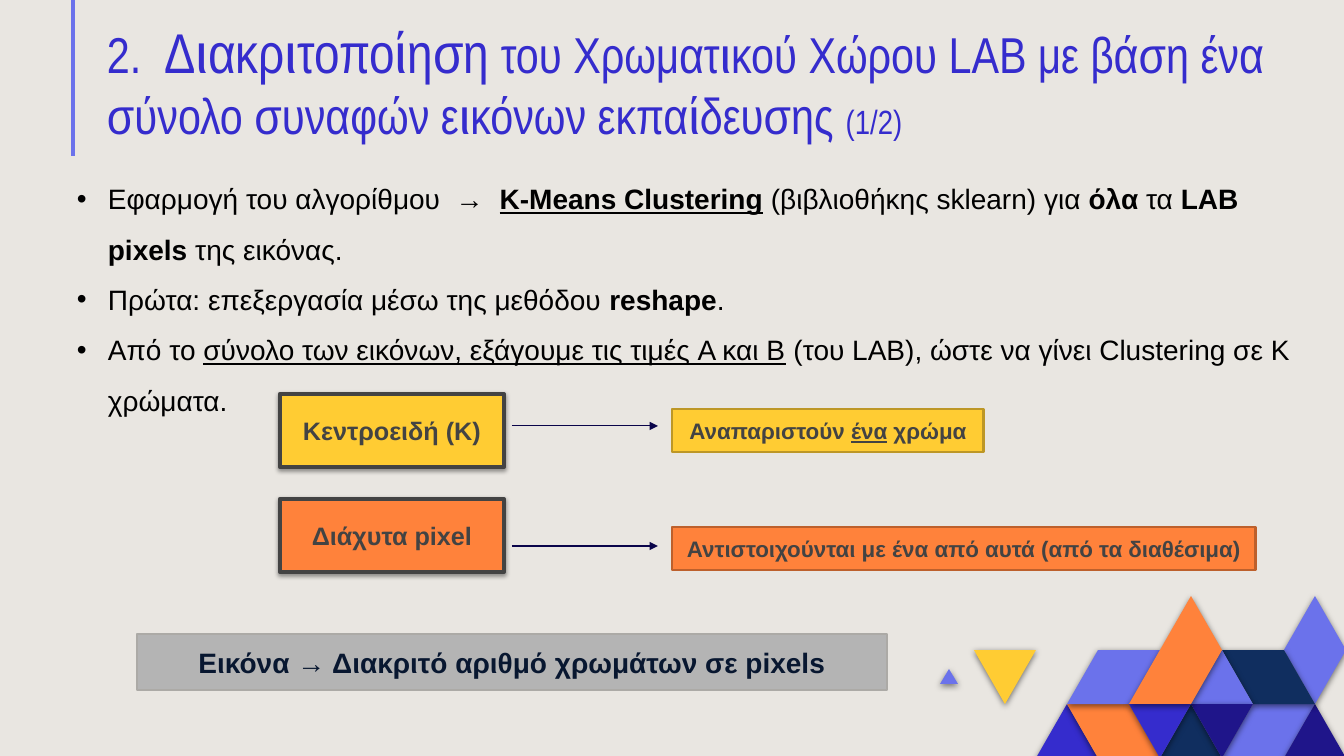
"""Build the slide on discretising the LAB colour space with K-Means."""
from lxml import etree
from pptx import Presentation
from pptx.dml.color import RGBColor
from pptx.enum.shapes import MSO_CONNECTOR as Connector, MSO_SHAPE as Shape
from pptx.enum.text import MSO_ANCHOR as Anchor, PP_ALIGN as Align
from pptx.oxml.ns import qn
from pptx.util import Pt

PX = 12192000 / 1344
BACKGROUND = RGBColor(0xE9, 0xE6, 0xE1)
BLACK = RGBColor(0x00, 0x00, 0x00)
GRAPHITE = RGBColor(0x43, 0x43, 0x43)
INK = RGBColor(0x08, 0x17, 0x30)
MIDNIGHT = RGBColor(0x0A, 0x04, 0x4A)
NAVY = RGBColor(0x10, 0x2E, 0x5F)
INDIGO = RGBColor(0x1F, 0x15, 0x8A)
BLUE = RGBColor(0x35, 0x2C, 0xCD)
PERIWINKLE = RGBColor(0x6B, 0x72, 0xEB)
ORANGE = RGBColor(0xFF, 0x82, 0x3B)
RUST = RGBColor(0xBD, 0x60, 0x2C)
YELLOW = RGBColor(0xFF, 0xCC, 0x33)
OCHRE = RGBColor(0xBD, 0x97, 0x26)
GREY = RGBColor(0xB4, 0xB4, 0xB4)
WARM_GREY = RGBColor(0xAC, 0xAA, 0xA6)

TILE_LEFT, TILE_TOP, TILE_HALF, TILE_ROW = 1036, 596, 31, 54
TILES = [
    (BLUE, [(0, 3), (1, 2), (2, 3)]),
    (ORANGE, [(1, 2), (3, 2), (4, 3), (2, 3)]),
    (PERIWINKLE, [(6, 3), (7, 2), (9, 2), (8, 3)]),
    (INDIGO, [(8, 3), (9, 2), (10, 3)]),
    (NAVY, [(4, 3), (5, 2), (6, 3)]),
    (PERIWINKLE, [(1, 2), (2, 1), (4, 1), (3, 2)]),
    (YELLOW, [(-2, 1), (0, 1), (-1, 2)]),
    (PERIWINKLE, [(8, 1), (9, 0), (10, 1), (9, 2)]),
    (NAVY, [(6, 1), (8, 1), (9, 2), (7, 2)]),
    (PERIWINKLE, [(5, 2), (6, 1), (7, 2)]),
    (INDIGO, [(5, 2), (7, 2), (6, 3)]),
    (BLUE, [(3, 2), (5, 2), (4, 3)]),
    (ORANGE, [(3, 2), (5, 0), (6, 1), (5, 2)]),
]
SMALL_TRIANGLE = [(940, 684), (949, 669), (958, 684)]

TITLE = [
    ("2.  ", 36),
    ("Διακριτοποίηση", 40),
    (" του Χρωματικού Χώρου LAB με βάση ένα σύνολο συναφών εικόνων εκπαίδευσης ", 36),
    ("(1/2)", 24),
]
BULLETS = [
    [("Εφαρμογή του αλγορίθμου  →  ", ""), ("K-Means Clustering", "bu"),
     (" (βιβλιοθήκης sklearn) για ", ""), ("όλα", "b"), (" τα ", ""),
     ("LAB pixels ", "b"), ("της εικόνας.", "")],
    [("Πρώτα: επεξεργασία μέσω της μεθόδου ", ""), ("reshape", "b"), (".", "")],
    [("Από το ", ""), ("σύνολο των εικόνων, εξάγουμε τις τιμές A και Β", "u"),
     (" (του LAB), ώστε να γίνει Clustering σε Κ χρώματα.", "")],
]


def px(*lengths):
    """Turn pixel lengths into EMU."""
    return [round(length * PX) for length in lengths]


def add_run(paragraph, words, size, color, style="", font="Arial"):
    """Append one formatted run; style may hold b for bold and u for underline."""
    run = paragraph.add_run()
    run.text = words
    run.font.name = font
    run.font.size = Pt(size)
    run.font.color.rgb = color
    run.font.bold = "b" in style
    run.font.underline = "u" in style


def add_shadow(shape, opacity, blur, distance):
    """Give a shape a soft black shadow that falls straight down."""
    shape.shadow.inherit = False
    effects = shape._element.spPr.find(qn("a:effectLst"))
    shadow = etree.SubElement(
        effects, qn("a:outerShdw"), blurRad=str(Pt(blur)), dist=str(Pt(distance)),
        dir="5400000", algn="ctr", rotWithShape="0")
    black = etree.SubElement(shadow, qn("a:srgbClr"), val="000000")
    etree.SubElement(black, qn("a:alpha"), val=str(opacity * 1000))


def add_polygon(slide, points, color):
    """Draw a closed borderless outline through pixel points."""
    builder = slide.shapes.build_freeform(*points[0], scale=PX)
    builder.add_line_segments(points[1:], close=True)
    polygon = builder.convert_to_shape()
    polygon.fill.solid()
    polygon.fill.fore_color.rgb = color
    polygon.line.fill.background()
    add_shadow(polygon, 50, 4.5, 1.5)


def add_mosaic(slide):
    """Draw the corner mosaic on its triangular lattice."""
    for color, corners in TILES:
        points = [(TILE_LEFT + TILE_HALF * column, TILE_TOP + TILE_ROW * row)
                  for column, row in corners]
        add_polygon(slide, points, color)
    add_polygon(slide, SMALL_TRIANGLE, PERIWINKLE)


def add_line(slide, start, end, color, width, arrow=False):
    """Draw a straight line, with an arrowhead at its end if asked."""
    line = slide.shapes.add_connector(Connector.STRAIGHT, *px(*start, *end))
    line.line.color.rgb = color
    line.line.width = Pt(width)
    if arrow:
        etree.SubElement(line.line._get_or_add_ln(), qn("a:tailEnd"), type="triangle")
    etree.SubElement(line._element.spPr, qn("a:effectLst"))


def add_text_frame(slide, box):
    """Add a wrapping text box and return its text frame."""
    frame = slide.shapes.add_textbox(*px(*box)).text_frame
    frame.word_wrap = True
    return frame


def add_title(slide):
    """Write the two-line heading."""
    frame = add_text_frame(slide, (97, 10, 1189, 145))
    frame.vertical_anchor = Anchor.BOTTOM
    frame.margin_top = frame.margin_bottom = px(10)[0]
    for words, size in TITLE:
        add_run(frame.paragraphs[0], words, size, BLUE, font="Arial Narrow")


def add_bullets(slide):
    """Write the bulleted explanation."""
    frame = add_text_frame(slide, (67, 160, 1249, 266))
    for index, runs in enumerate(BULLETS):
        paragraph = frame.add_paragraph() if index else frame.paragraphs[0]
        paragraph.line_spacing = 1.5
        for words, style in runs:
            add_run(paragraph, words, 20, BLACK, style)
        properties = paragraph._p.get_or_add_pPr()
        indent = px(31)[0]
        properties.set("marL", str(indent))
        properties.set("indent", str(-indent))
        etree.SubElement(properties, qn("a:buFont"), typeface="Arial")
        etree.SubElement(properties, qn("a:buChar"), char="•")


def add_label(slide, box, runs, size, color, fill, border, width):
    """Draw a bordered rectangle with centred bold text and return it."""
    label = slide.shapes.add_shape(Shape.RECTANGLE, *px(*box))
    label.shadow.inherit = False
    label.fill.solid()
    label.fill.fore_color.rgb = fill
    label.line.color.rgb = border
    label.line.width = Pt(width)
    frame = label.text_frame
    frame.word_wrap = True
    frame.vertical_anchor = Anchor.MIDDLE
    paragraph = frame.paragraphs[0]
    paragraph.alignment = Align.CENTER
    for words, style in runs:
        add_run(paragraph, words, size, color, style)
    return label


def add_mapping(slide, top, term, arrow_y, meaning, meaning_box, fill, border):
    """Draw a term, an arrow and what the term stands for."""
    source = add_label(slide, (280, top, 224, 73), [(term, "b")], 18, GRAPHITE,
                       fill, GRAPHITE, 3)
    add_shadow(source, 38, 3.1, 1.6)
    add_line(slide, (512, arrow_y), (658, arrow_y), MIDNIGHT, 0.75, arrow=True)
    add_label(slide, meaning_box, meaning, 16, GRAPHITE, fill, border, 2)


def main():
    """Assemble and save the slide."""
    deck = Presentation()
    deck.slide_width, deck.slide_height = px(1344, 756)
    slide = deck.slides.add_slide(deck.slide_layouts[6])
    slide.background.fill.solid()
    slide.background.fill.fore_color.rgb = BACKGROUND
    add_line(slide, (73, 0), (73, 156), PERIWINKLE, 2.25)
    add_mosaic(slide)
    add_title(slide)
    add_bullets(slide)
    add_mapping(slide, 394, "Κεντροειδή (Κ)", 426,
                [("Αναπαριστούν ", "b"), ("ένα", "bu"), (" χρώμα", "b")],
                (672, 409, 312, 43), YELLOW, OCHRE)
    add_mapping(slide, 499, "Διάχυτα pixel", 546,
                [("Αντιστοιχούνται με ένα από αυτά (από τα διαθέσιμα)", "b")],
                (672, 527, 584, 43), ORANGE, RUST)
    add_label(slide, (137, 634, 750, 56),
              [("Εικόνα → Διακριτό αριθμό χρωμάτων σε pixels", "b")],
              20, INK, GREY, WARM_GREY, 2)
    deck.save("out.pptx")


if __name__ == "__main__":
    main()
